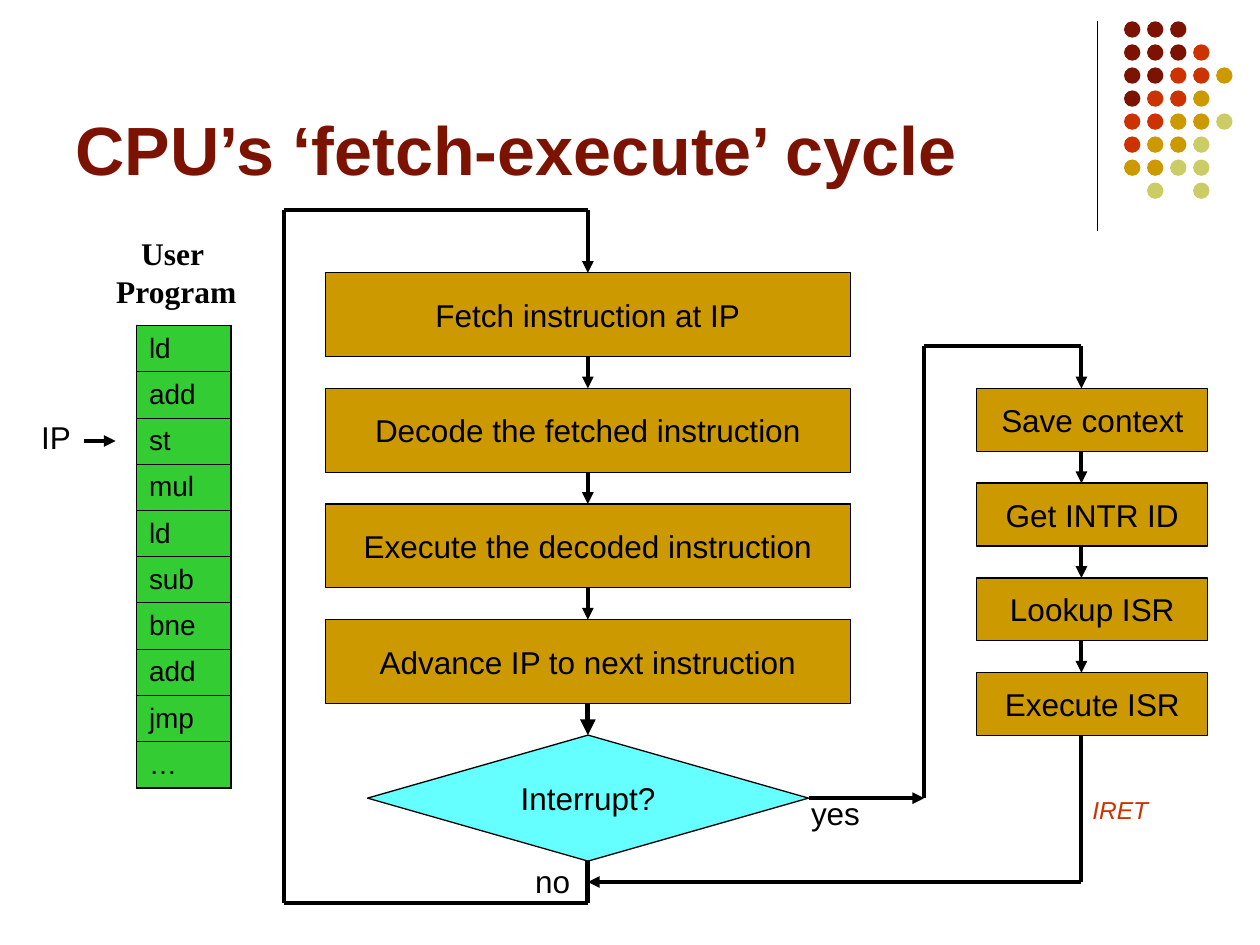
import pptx
import pptx.util
import pptx.dml.color
import pptx.enum.shapes
import pptx.enum.text
import pptx.oxml
import pptx.oxml.ns
import lxml.etree

Cm = pptx.util.Cm
Pt = pptx.util.Pt
RGB = pptx.dml.color.RGBColor.from_string
MSO = pptx.enum.shapes.MSO_SHAPE
ANCHOR = pptx.enum.text.MSO_ANCHOR
ALIGN = pptx.enum.text.PP_ALIGN
qn = pptx.oxml.ns.qn

COLORS = {"maroon": "7C1302", "red": "CC3300", "gold": "CC9900", "olive": "CCCC66",
          "green": "33CC33", "cyan": "66FFFF", "black": "000000"}

prs = pptx.Presentation()
prs.slide_width = Cm(25.4)
prs.slide_height = Cm(19.05)
s = prs.slides.add_slide(prs.slide_layouts[5])


def add_run(p, text, size=18, color="black", font="Arial", bold=False, italic=False):
    r = p.add_run()
    r.text = text
    r.font.size = Pt(size)
    r.font.name = font
    r.font.bold = bold
    r.font.italic = italic
    r.font.color.rgb = RGB(COLORS[color])


def add_line(x1, y1, x2, y2, arrow=False, width=2.25):
    c = s.shapes.add_connector(pptx.enum.shapes.MSO_CONNECTOR.STRAIGHT,
                               Cm(x1), Cm(y1), Cm(x2), Cm(y2))
    c.line.color.rgb = RGB(COLORS["black"])
    c.line.width = Pt(width)
    spPr = c.element.find(qn("p:spPr"))
    if arrow:
        lxml.etree.SubElement(spPr.find(qn("a:ln")), qn("a:tailEnd"), type="triangle")
    lxml.etree.SubElement(spPr, qn("a:effectLst"))


add_line(22.13, 0.43, 22.13, 4.65, width=0.75)
dot_colors = {"m": "maroon", "r": "red", "g": "gold", "o": "olive"}
dot_rows = ["mmm", "mmmr", "mmrrg", "mrrg", "rrggo", "rggo", "ggoo", " o o"]
dot_pitch = 3.25 / 7
for i, row in enumerate(dot_rows):
    for j, key in enumerate(row):
        if key in dot_colors:
            sp = s.shapes.add_shape(MSO.OVAL, Cm(22.66 + j * dot_pitch),
                                    Cm(0.43 + i * dot_pitch), Cm(0.33), Cm(0.33))
            sp.shadow.inherit = False
            sp.fill.solid()
            sp.fill.fore_color.rgb = RGB(COLORS[dot_colors[key]])
            sp.line.fill.background()

title = s.shapes.title
title.left, title.top, title.width, title.height = Cm(1.27), Cm(0.33), Cm(20.96), Cm(3.62)
tf = title.text_frame
tf.vertical_anchor = ANCHOR.BOTTOM
p = tf.paragraphs[0]
p.alignment = ALIGN.LEFT
add_run(p, "CPU’s ‘fetch-execute’ cycle", 39, "maroon", bold=True)

cycle_x, cycle_top, cycle_pitch, cycle_h = 11.85, 5.5, 2.33, 1.69
isr_x, isr_top, isr_pitch, isr_h = 21.8, 7.83, 1.91, 1.27
cycle_steps = ["Fetch instruction at IP", "Decode the fetched instruction",
               "Execute the decoded instruction", "Advance IP to next instruction"]
isr_steps = ["Save context", "Get INTR ID", "Lookup ISR", "Execute ISR"]

nodes = [(MSO.RECTANGLE, 6.56, cycle_top + i * cycle_pitch, 10.58, cycle_h, "gold", text)
         for i, text in enumerate(cycle_steps)]
nodes += [(MSO.RECTANGLE, 19.69, isr_top + i * isr_pitch, 4.66, isr_h, "gold", text)
          for i, text in enumerate(isr_steps)]
nodes.append((MSO.DIAMOND, 7.41, 14.82, 8.89, 2.54, "cyan", "Interrupt?"))
for kind, x, y, w, h, color, text in nodes:
    sp = s.shapes.add_shape(kind, Cm(x), Cm(y), Cm(w), Cm(h))
    sp.shadow.inherit = False
    sp.fill.solid()
    sp.fill.fore_color.rgb = RGB(COLORS[color])
    sp.line.color.rgb = RGB(COLORS["black"])
    sp.line.width = Pt(0.75)
    tf = sp.text_frame
    tf.word_wrap = False
    tf.vertical_anchor = ANCHOR.MIDDLE
    p = tf.paragraphs[0]
    p.alignment = ALIGN.CENTER
    add_run(p, text)

for i in range(4):
    y = cycle_top + i * cycle_pitch
    add_line(cycle_x, y + cycle_h, cycle_x, y + cycle_pitch, True, 3 if i == 3 else 2.25)
for i in range(3):
    y = isr_top + i * isr_pitch
    add_line(isr_x, y + isr_h, isr_x, y + isr_pitch, True)

add_line(cycle_x, 17.36, cycle_x, 18.2, width=3)
routes = [
    [(cycle_x, 18.2), (5.72, 18.2), (5.72, 4.23), (cycle_x, 4.23), (cycle_x, cycle_top)],
    [(16.3, 16.09), (18.63, 16.09)],
    [(18.63, 16.09), (18.63, 6.98), (isr_x, 6.98), (isr_x, isr_top)],
    [(isr_x, 14.82), (isr_x, 17.78), (cycle_x, 17.78)],
    [(1.69, 8.89), (2.33, 8.89)],
]
for route in routes:
    for start, end in zip(route, route[1:]):
        add_line(*start, *end, arrow=end == route[-1])

labels = [
    (10.54, 17.25, 1.22, 1.02, ["no"], {}),
    (16.1, 15.88, 1.5, 1.02, ["yes"], {}),
    (21.77, 15.9, 1.63, 0.86, ["IRET"], {"size": 14, "color": "red", "italic": True}),
    (2.08, 4.6, 2.95, 1.78, ["User ", "Program"], {"font": "Times New Roman", "bold": True}),
    (0.58, 8.31, 1.25, 1.02, ["IP"], {}),
]
for x, y, w, h, lines, style in labels:
    tf = s.shapes.add_textbox(Cm(x), Cm(y), Cm(w), Cm(h)).text_frame
    tf.word_wrap = False
    tf.auto_size = pptx.enum.text.MSO_AUTO_SIZE.SHAPE_TO_FIT_TEXT
    for i, text in enumerate(lines):
        p = tf.add_paragraph() if i else tf.paragraphs[0]
        p.alignment = ALIGN.CENTER if len(lines) > 1 else ALIGN.LEFT
        add_run(p, text, **style)

program = ["ld", "add", "st", "mul", "ld", "sub", "bne", "add", "jmp", "…"]
table = s.shapes.add_table(len(program), 1, Cm(2.75), Cm(6.56), Cm(1.9), Cm(9.3)).table
table.first_row = False
table.horz_banding = False
last = len(program) - 1
for i, text in enumerate(program):
    table.rows[i].height = Cm(0.93)
    cell = table.cell(i, 0)
    cell.vertical_anchor = ANCHOR.MIDDLE
    p = cell.text_frame.paragraphs[0]
    p.space_before = Pt(4)
    add_run(p, text, 16)
    tcPr = cell._tc.get_or_add_tcPr()
    borders = {"lnL": 1.08, "lnR": 1.08, "lnT": 0.45 if i else 1.08,
               "lnB": 0.45 if i < last else 1.08}
    for side, width in borders.items():
        ln = lxml.etree.SubElement(tcPr, qn("a:" + side), w=str(Pt(width)))
        fill = lxml.etree.SubElement(ln, qn("a:solidFill"))
        lxml.etree.SubElement(fill, qn("a:srgbClr"), val=COLORS["black"])
    cell.fill.solid()
    cell.fill.fore_color.rgb = RGB(COLORS["green"])

prs.save("out.pptx")
